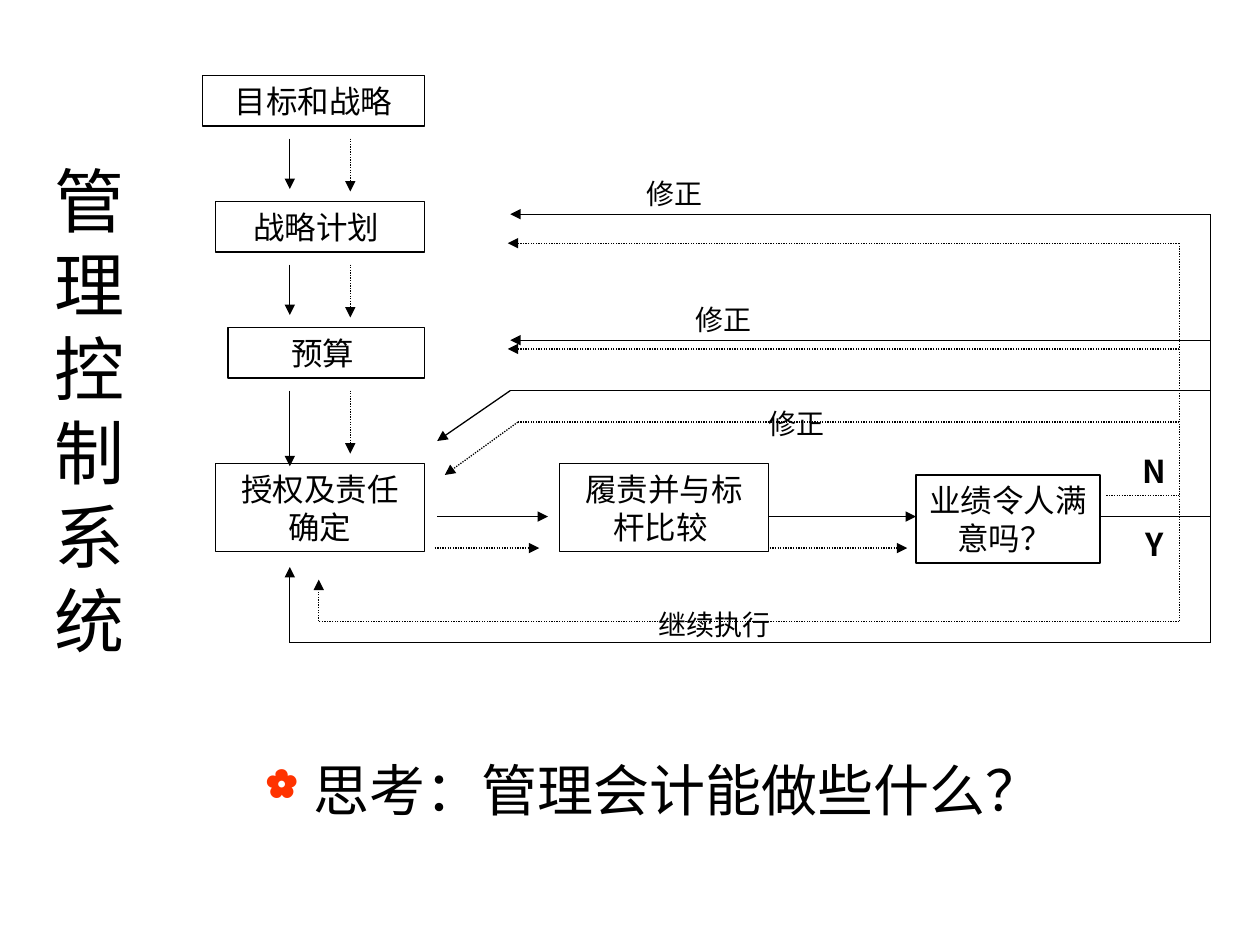
from itertools import pairwise

from lxml.etree import SubElement
from pptx import Presentation
from pptx.dml.color import RGBColor
from pptx.enum.dml import MSO_LINE
from pptx.enum.shapes import MSO_CONNECTOR, MSO_SHAPE
from pptx.enum.text import MSO_ANCHOR, PP_ALIGN
from pptx.oxml.ns import qn
from pptx.util import Inches, Pt

BLACK = RGBColor(0, 0, 0)
BULLET_RED = RGBColor(0xFF, 0x33, 0x00)
SERIF, SANS = "Times New Roman", "Noto Sans CJK SC"

TITLE = "管理控制系统"
QUESTION = "思考：管理会计能做些什么？"

STEPS = [
    ("目标和战略", 1.61, 0.6, 1.76, 0.4),
    ("战略计划 ", 1.71, 1.6, 1.66, 0.4),
    ("预算 ", 1.81, 2.6, 1.56, 0.4),
    ("授权及责任确定", 1.71, 3.68, 1.66, 0.7),
    ("履责并与标杆比较 ", 4.44, 3.68, 1.66, 0.7),
    ("业绩令人满意吗？ ", 7.27, 3.77, 1.46, 0.7),
]
NOTES = [
    ("修正", 5.03, 1.35, 0.98),
    ("修正", 5.42, 2.35, 0.98),
    ("修正", 6, 3.18, 0.98),
    ("继续执行", 5.13, 4.77, 1.46),
]
ANSWERS = [("N", 8.97, 3.54, 0.39), ("Y", 8.99, 4.12, 0.37)]

SOLID_BUS, DOTTED_BUS = 9.61, 9.36
SOLID_ARROWS = [
    [(2.3, 1.1), (2.3, 1.5)],
    [(2.3, 2.1), (2.3, 2.5)],
    [(2.3, 3.1), (2.3, 3.7)],
    [(3.47, 4.1), (4.35, 4.1)],
    [(6.1, 4.1), (7.27, 4.1)],
    [(SOLID_BUS, 1.7), (4.05, 1.7)],
    [(SOLID_BUS, 2.7), (4.05, 2.7)],
    [(SOLID_BUS, 3.1), (4.05, 3.1), (3.47, 3.5)],
    [(SOLID_BUS, 1.7), (SOLID_BUS, 5.1), (2.3, 5.1), (2.3, 4.5)],
]
DOTTED_ARROWS = [
    [(2.78, 1.1), (2.78, 1.52)],
    [(2.78, 2.1), (2.78, 2.52)],
    [(2.78, 3.1), (2.78, 3.6)],
    [(3.45, 4.35), (4.28, 4.35)],
    [(6.11, 4.35), (7.2, 4.35)],
    [(DOTTED_BUS, 1.93), (4.03, 1.93)],
    [(DOTTED_BUS, 2.77), (4.03, 2.77)],
    [(DOTTED_BUS, 3.35), (4.11, 3.35), (3.53, 3.77)],
    [(DOTTED_BUS, 1.93), (DOTTED_BUS, 4.93), (2.53, 4.93), (2.53, 4.6)],
]
SOLID_EXIT = [(8.74, 4.1), (SOLID_BUS, 4.1)]
DOTTED_EXIT = [(8.78, 3.93), (DOTTED_BUS, 3.93)]


def write(box, text, size, align=PP_ALIGN.LEFT, font=SERIF, bold=False, wrap=True):
    box.text_frame.word_wrap = wrap
    para = box.text_frame.paragraphs[0]
    para.text = text
    para.alignment = align
    para.font.name = font
    para.font.size = Pt(size)
    para.font.bold = bold
    para.font.color.rgb = BLACK
    return para


def add_text(page, text, left, top, width, height, size, **style):
    box = page.shapes.add_textbox(*map(Inches, (left, top, width, height)))
    write(box, text, size, **style)
    return box


def add_step(page, text, *place):
    box = page.shapes.add_shape(MSO_SHAPE.RECTANGLE, *map(Inches, place))
    box.shadow.inherit = False
    box.fill.background()
    box.line.color.rgb = BLACK
    box.line.width = Pt(0.75)
    box.text_frame.vertical_anchor = MSO_ANCHOR.TOP
    write(box, text, 18, align=PP_ALIGN.CENTER)


def add_route(page, points, dotted, arrow=True):
    for start, end in pairwise(points):
        line = page.shapes.add_connector(
            MSO_CONNECTOR.STRAIGHT, *map(Inches, start + end))
        line.line.color.rgb = BLACK
        line.line.width = Pt(0.75)
        if dotted:
            line.line.dash_style = MSO_LINE.ROUND_DOT
        properties = line._element.spPr
        if arrow and end == points[-1]:
            SubElement(properties.find(qn("a:ln")), qn("a:tailEnd"), type="triangle")
        SubElement(properties, qn("a:effectLst"))


def add_question(page):
    box = page.shapes.add_textbox(*map(Inches, (2.01, 5.95, 7, 0.95)))
    settings = box.text_frame.paragraphs[0]._p.get_or_add_pPr()
    indent = Inches(0.38)
    settings.set("marL", str(indent))
    settings.set("indent", str(-indent))
    color = SubElement(settings, qn("a:buClr"))
    SubElement(color, qn("a:srgbClr"), val=str(BULLET_RED))
    SubElement(settings, qn("a:buSzPct"), val="70000")
    SubElement(settings, qn("a:buChar"), char="✿")
    write(box, QUESTION, 32)


def main():
    deck = Presentation()
    deck.slide_width, deck.slide_height = Inches(10), Inches(7.5)
    page = deck.slides.add_slide(deck.slide_layouts[6])

    title = add_text(page, "".join(f"{letter}\v" for letter in TITLE),
                     0, 0.21, 1.42, 6.75, 40, align=PP_ALIGN.CENTER)
    title.text_frame.vertical_anchor = MSO_ANCHOR.MIDDLE
    add_question(page)

    for step in STEPS:
        add_step(page, *step)
    for arrows, way_out, dotted in [(SOLID_ARROWS, SOLID_EXIT, False),
                                    (DOTTED_ARROWS, DOTTED_EXIT, True)]:
        for points in arrows:
            add_route(page, points, dotted)
        add_route(page, way_out, dotted, arrow=False)
    for note in NOTES:
        add_text(page, *note, 0.37, 16)
    for answer in ANSWERS:
        add_text(page, *answer, 0.4, 18, font=SANS, bold=True, wrap=False)

    deck.save("out.pptx")


if __name__ == "__main__":
    main()
